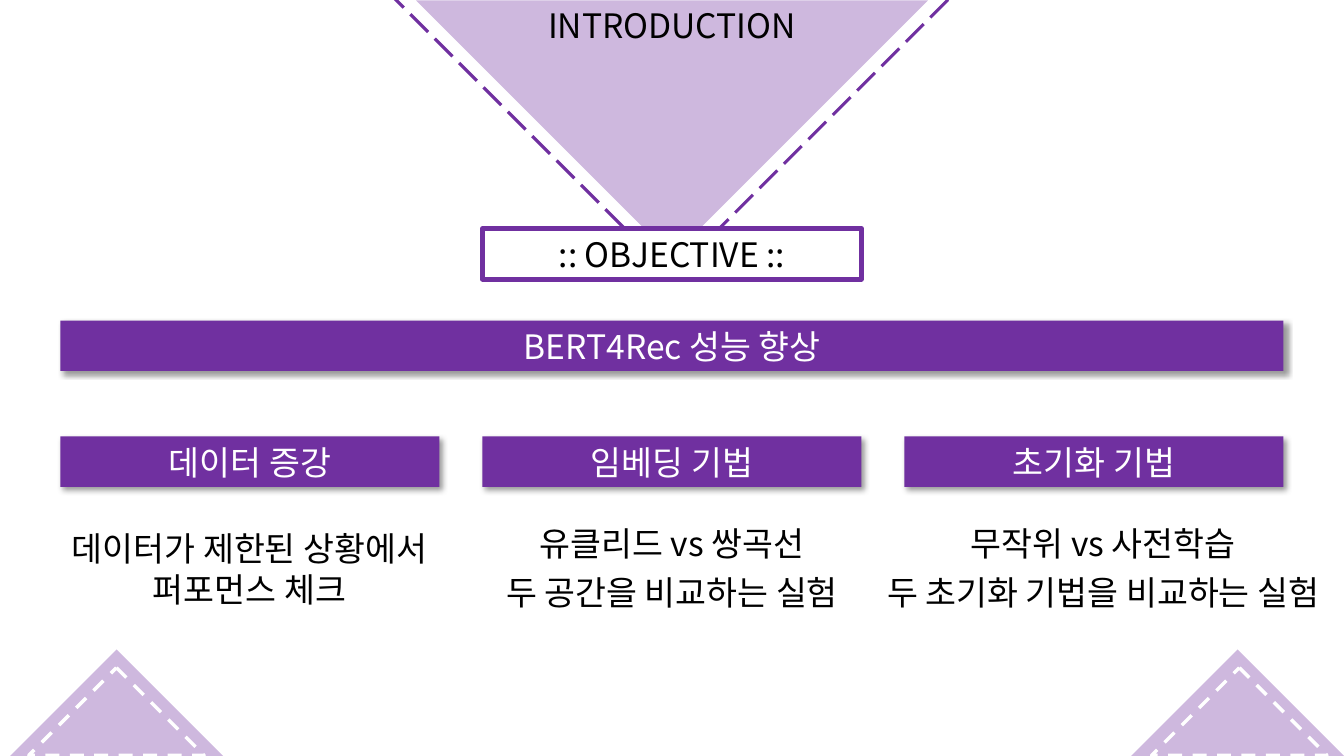
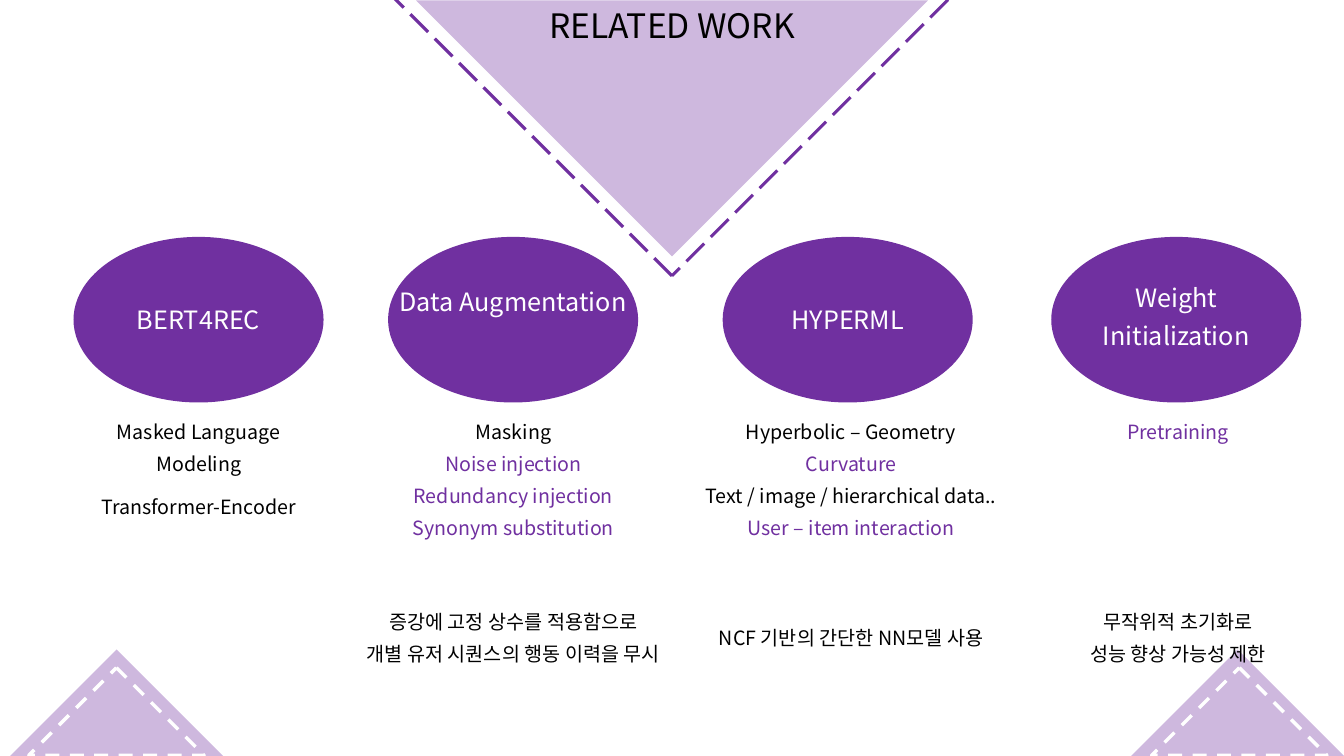
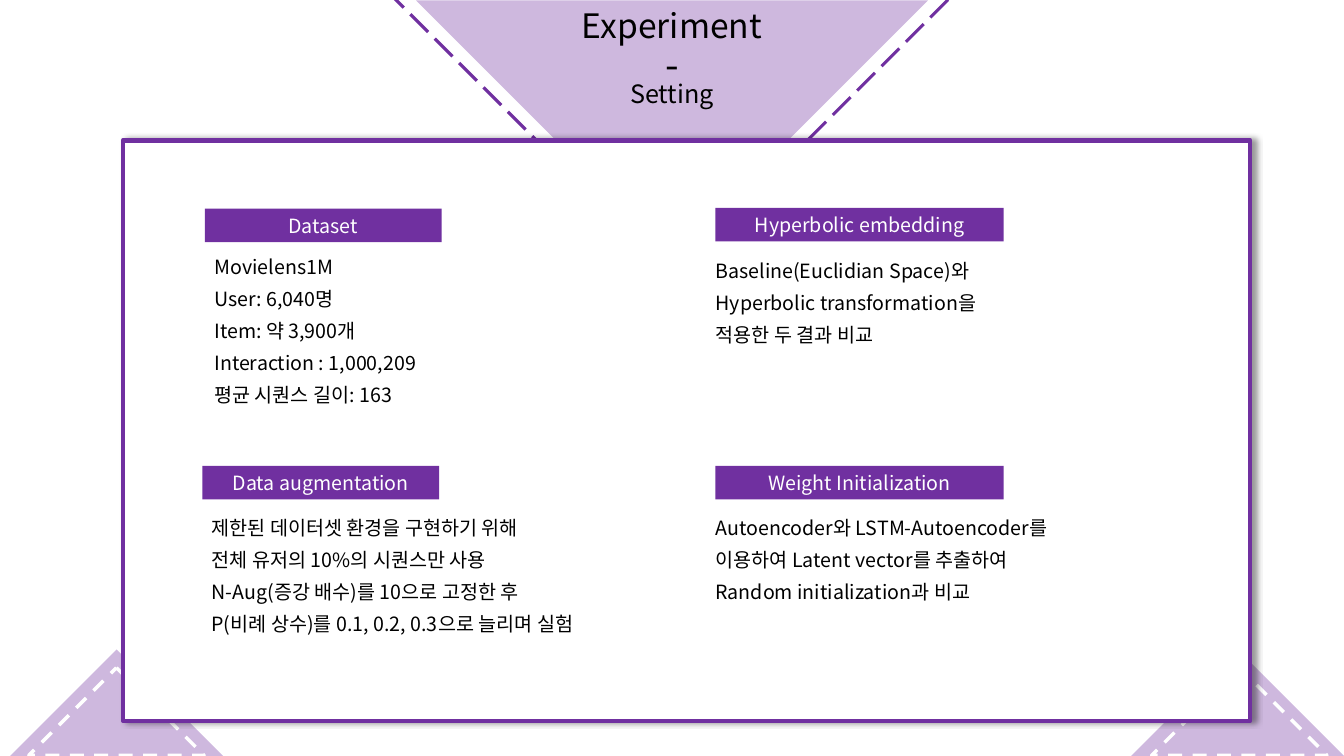
from dataclasses import dataclass

from lxml import etree
from pptx import Presentation
from pptx.dml.color import RGBColor
from pptx.enum.dml import MSO_LINE
from pptx.enum.shapes import MSO_SHAPE
from pptx.enum.text import MSO_ANCHOR, MSO_AUTO_SIZE, PP_ALIGN
from pptx.oxml.ns import qn
from pptx.util import Pt

RECTANGLE, ELLIPSE, TRIANGLE = (
    MSO_SHAPE.RECTANGLE, MSO_SHAPE.OVAL, MSO_SHAPE.RIGHT_TRIANGLE)
DASH, LONG_DASH = MSO_LINE.DASH, MSO_LINE.LONG_DASH
CENTER, LEFT = PP_ALIGN.CENTER, PP_ALIGN.LEFT
TOP = MSO_ANCHOR.TOP
NO_AUTOFIT = MSO_AUTO_SIZE.NONE
TITLE_ONLY = 5


@dataclass(frozen=True)
class Theme:
    font: str = "Noto Sans CJK KR"
    purple: str = "7030A0"
    white: str = "FFFFFF"
    black: str = "000000"
    tint: int = 34
    dash_size: int = 28
    large: int = 24
    medium: int = 18
    small: int = 14
    leading: float = 1.2
    paragraph_gap: int = 6
    width: int = 960
    height: int = 540


THEME = Theme()
MIDDLE = THEME.width / 2


def rgb(color):
    return RGBColor.from_string(color)


# Text
def write(frame, lines, size=THEME.small, color=THEME.black, align=CENTER):
    """Fill a frame; a line is a string or a (string, colour) pair."""
    frame.word_wrap = True
    frame.auto_size = NO_AUTOFIT
    frame.vertical_anchor = TOP
    for index, line in enumerate(lines):
        words, line_color = (line, color) if isinstance(line, str) else line
        paragraph = frame.paragraphs[0] if index == 0 else frame.add_paragraph()
        paragraph.alignment = align
        paragraph.line_spacing = Pt(round(size * THEME.leading, 1))
        paragraph.space_before = Pt(0)
        paragraph.space_after = Pt(THEME.paragraph_gap)
        run = paragraph.add_run()
        run.text = words
        run.font.size = Pt(size)
        run.font.color.rgb = rgb(line_color)
        run.font.name = THEME.font
        east_asian = etree.SubElement(run.font._element, qn("a:ea"))
        east_asian.set("typeface", THEME.font)


def add_text(slide, left, top, width, height, lines, **text_format):
    box = slide.shapes.add_textbox(Pt(left), Pt(top), Pt(width), Pt(height))
    write(box.text_frame, lines, **text_format)


def add_centered(slide, center, top, width, height, lines, **text_format):
    add_text(slide, center - width / 2, top, width, height, lines, **text_format)


# Shapes
def add_figure(slide, kind, left, top, width, height, fill=None, alpha=None,
               line=None, weight=1, dash=None, rotation=0, shadow_angle=None):
    figure = slide.shapes.add_shape(
        kind, Pt(left), Pt(top), Pt(width), Pt(height))
    figure.rotation = rotation
    figure.shadow.inherit = False
    if fill:
        figure.fill.solid()
        figure.fill.fore_color.rgb = rgb(fill)
    else:
        figure.fill.background()
    if alpha is not None:
        set_alpha(figure.element.spPr.find(".//" + qn("a:srgbClr")), alpha)
    if line:
        figure.line.color.rgb = rgb(line)
        figure.line.width = Pt(weight)
        if dash:
            figure.line.dash_style = dash
    else:
        figure.line.fill.background()
    if shadow_angle is not None:
        cast_shadow(figure, shadow_angle)
    return figure


def set_alpha(color_element, percent):
    alpha = etree.SubElement(color_element, qn("a:alpha"))
    alpha.set("val", str(percent * 1000))


def cast_shadow(figure, angle):
    effects = figure.element.spPr.find(qn("a:effectLst"))
    shadow = etree.SubElement(
        effects, qn("a:outerShdw"), blurRad=str(Pt(4)), dist=str(Pt(3)),
        dir=str(angle * 60000), algn="tl", rotWithShape="0")
    color = etree.SubElement(shadow, qn("a:srgbClr"), val=THEME.black)
    set_alpha(color, 40)


def add_bar(slide, left, top, width, height, label, size, shadow_angle=None):
    bar = add_figure(slide, RECTANGLE, left, top, width, height,
                     fill=THEME.purple, shadow_angle=shadow_angle)
    write(bar.text_frame, [label], size=size, color=THEME.white)


def add_triangle(slide, center, middle, side, rotation, **look):
    add_figure(slide, TRIANGLE, center - side / 2, middle - side / 2,
               side, side, rotation=rotation, **look)


# Shared backdrop and title
def add_page(deck, title):
    slide = deck.slides.add_slide(deck.slide_layouts[TITLE_ONLY])
    tinted = {"fill": THEME.purple, "alpha": THEME.tint}
    add_triangle(slide, MIDDLE, 0.3, 258.5, 315, **tinted)
    add_triangle(slide, MIDDLE, -3.6, 283.7, 315,
                 line=THEME.purple, weight=2.25, dash=LONG_DASH)
    for corner, stitch in ((83.3, 83.2), (884, 885.2)):
        add_triangle(slide, corner, 540, 107.6, 135, **tinted)
        add_triangle(slide, stitch, 539.6, 88.6, 135,
                     line=THEME.white, weight=2.5, dash=DASH)

    heading = slide.shapes.title
    heading.left, heading.top = Pt(MIDDLE - 144), Pt(0)
    heading.width, heading.height = Pt(288), Pt(36)
    write(heading.text_frame, [title], size=THEME.large)
    # Bring the title in front of the tinted triangle
    heading.element.getparent().append(heading.element)
    return slide


# Slides
def build_introduction(deck):
    slide = add_page(deck, "INTRODUCTION")
    margin, bar_width, bar_height = 43.2, 270.7, 36
    content_width = THEME.width - 2 * margin
    pitch = (content_width - bar_width) / 2

    objective = add_figure(slide, RECTANGLE, MIDDLE - bar_width / 2, 163.4,
                           bar_width, bar_height, fill=THEME.white,
                           line=THEME.purple, weight=3.5)
    write(objective.text_frame, [":: OBJECTIVE ::"], size=THEME.large)
    add_bar(slide, margin, 229, content_width, bar_height,
            "BERT4Rec 성능 향상", THEME.large, shadow_angle=45)

    methods = [
        ("데이터 증강", 178.2, 373.7, ["데이터가 제한된 상황에서 퍼포먼스 체크"]),
        ("임베딩 기법", 480, 370, ["유클리드 vs 쌍곡선", "두 공간을 비교하는 실험"]),
        ("초기화 기법", 788, 370,
         ["무작위 vs 사전학습", "두 초기화 기법을 비교하는 실험"]),
    ]
    for column, (method, center, top, details) in enumerate(methods):
        add_bar(slide, margin + column * pitch, 311.8, bar_width, bar_height,
                method, THEME.large, shadow_angle=45)
        add_centered(slide, center, top, 344, 71, details, size=THEME.large)


def build_related_work(deck):
    slide = add_page(deck, "RELATED WORK")
    oval_width, oval_height, oval_top = 178.6, 118.3, 169.2
    topics_top, purple = 296.6, THEME.purple
    # Oval centre, text centre, label top, label, topics, note top, note
    works = [
        (141.8, 142, 213.8, ["BERT4REC"],
         ["Masked Language", "Modeling"], 0, []),
        (366.5, 366.8, 200.9, ["Data Augmentation"],
         ["Masking", ("Noise injection", purple),
          ("Redundancy injection", purple), ("Synonym substitution", purple)],
         432, ["증강에 고정 상수를 적용함으로", "개별 유저 시퀀스의 행동 이력을 무시"]),
        (605.5, 608, 213.8, ["HYPERML"],
         ["Hyperbolic – Geometry", ("Curvature", purple),
          "Text / image / hierarchical data..",
          ("User – item interaction", purple)],
         443.5, ["NCF 기반의 간단한 NN모델 사용"]),
        (840.2, 841.5, 197.8, ["Weight", "Initialization"],
         [("Pretraining", purple)],
         432, ["무작위적 초기화로", "성능 향상 가능성 제한"]),
    ]
    for center, text_center, label_top, label, topics, note_top, note in works:
        add_figure(slide, ELLIPSE, center - oval_width / 2, oval_top,
                   oval_width, oval_height, fill=purple)
        add_centered(slide, center, label_top, 188, 57, label,
                     size=THEME.medium, color=THEME.white)
        add_centered(slide, text_center, topics_top, 236, 94, topics)
        if note:
            add_centered(slide, text_center, note_top, 236, 48, note)
    add_centered(slide, works[0][1], 350, 220, 24, ["Transformer-Encoder"])


def build_experiment(deck):
    slide = add_page(deck, "Experiment")
    add_figure(slide, RECTANGLE, 88, 100.2, 805, 414.7, fill=THEME.white,
               line=THEME.purple, weight=3.25, shadow_angle=0)
    add_centered(slide, MIDDLE, 25.2, 48, 41, ["-"], size=THEME.dash_size)
    add_centered(slide, MIDDLE, 52.6, 252, 29, ["Setting"], size=THEME.medium)

    # Bar left, top and width; text left and top; heading; lines
    settings = [
        (146.3, 149, 169.2, 146, 178.6, "Dataset",
         ["Movielens1M", "User: 6,040명", "Item: 약 3,900개",
          "Interaction : 1,000,209", "평균 시퀀스 길이: 163"]),
        (144.5, 332.7, 169.2, 144, 365, "Data augmentation",
         ["제한된 데이터셋 환경을 구현하기 위해",
          "전체 유저의 10%의 시퀀스만 사용",
          "N-Aug(증강 배수)를 10으로 고정한 후",
          "P(비례 상수)를 0.1, 0.2, 0.3으로 늘리며 실험"]),
        (511, 148.5, 206, 504, 181.4, "Hyperbolic embedding",
         ["Baseline(Euclidian Space)와", "Hyperbolic transformation을",
          "적용한 두 결과 비교"]),
        (511, 332.7, 206, 504, 365, "Weight Initialization",
         ["Autoencoder와 LSTM-Autoencoder를",
          "이용하여 Latent vector를 추출하여",
          "Random initialization과 비교"]),
    ]
    for bar_left, bar_top, width, left, top, heading, lines in settings:
        add_bar(slide, bar_left, bar_top, width, 24, heading, THEME.small)
        add_text(slide, left, top, 350, 24 * len(lines), lines, align=LEFT)


def main():
    deck = Presentation()
    deck.slide_width, deck.slide_height = Pt(THEME.width), Pt(THEME.height)
    build_introduction(deck)
    build_related_work(deck)
    build_experiment(deck)
    deck.save("out.pptx")


if __name__ == "__main__":
    main()
